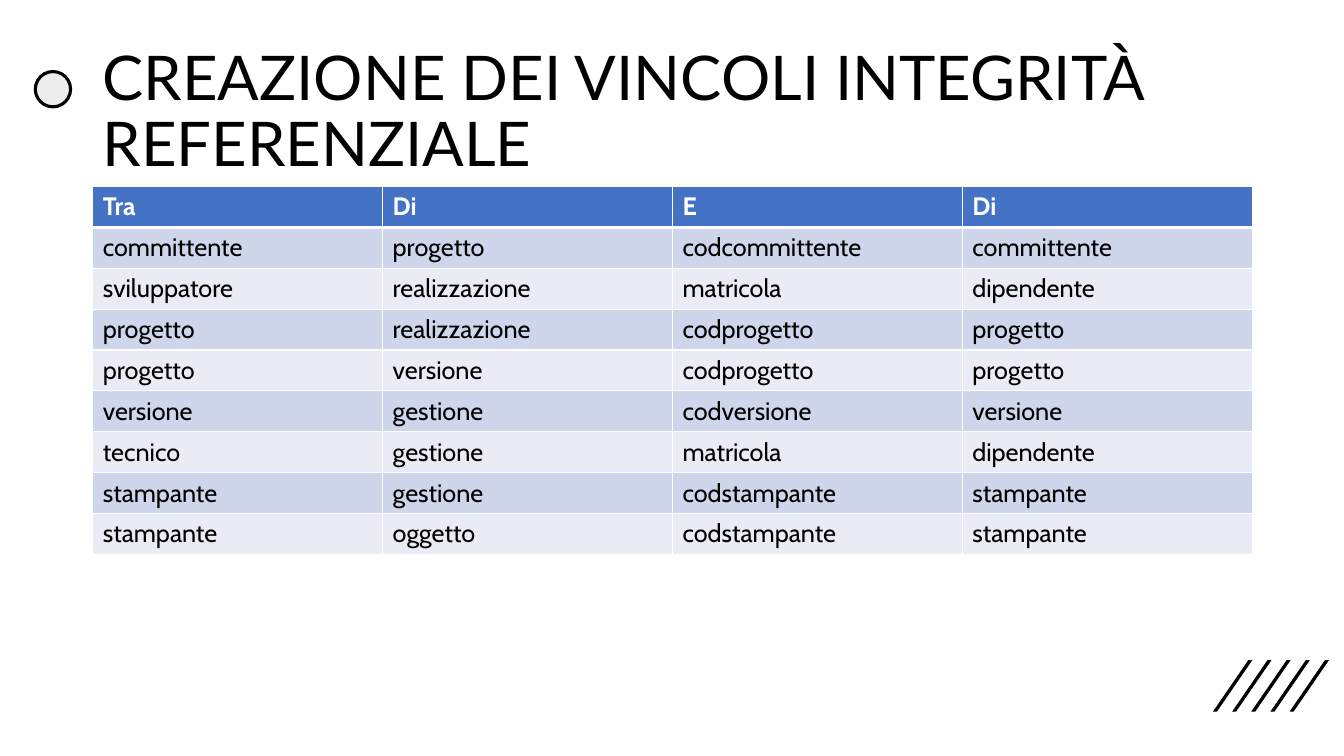
from dataclasses import dataclass

from lxml import etree
from pptx import Presentation
from pptx.dml.color import RGBColor
from pptx.enum.shapes import MSO_SHAPE
from pptx.enum.text import MSO_ANCHOR
from pptx.oxml.ns import qn
from pptx.util import Inches, Pt

OVAL = MSO_SHAPE.OVAL
MIDDLE = MSO_ANCHOR.MIDDLE


@dataclass(frozen=True)
class Theme:
    title_font: str = "Lato"
    table_font: str = "Cabin"
    title_size: int = 44
    table_size: int = 18
    ink: str = "000000"
    paper: str = "FFFFFF"
    dot: str = "EDEDED"
    header: str = "4472C4"
    bands: tuple[str, str] = ("CFD5EA", "E9EBF5")


@dataclass(frozen=True)
class Stripe:
    left: float
    top: float = 6.55
    height: float = 0.51
    slant: float = 0.35
    thickness: float = 0.04


@dataclass(frozen=True)
class Row:
    texts: tuple[str, str, str, str]
    fill: str
    color: str
    bold: bool = False
    rule: float = 1


THEME = Theme()
LEFT, WIDTH = 0.92, 11.5
TITLE = "CREAZIONE DEI VINCOLI INTEGRITÀ REFERENZIALE"
HEADINGS = ("Tra", "Di", "E", "Di")
CONSTRAINTS = (
    ("committente", "progetto", "codcommittente", "committente"),
    ("sviluppatore", "realizzazione", "matricola", "dipendente"),
    ("progetto", "realizzazione", "codprogetto", "progetto"),
    ("progetto", "versione", "codprogetto", "progetto"),
    ("versione", "gestione", "codversione", "versione"),
    ("tecnico", "gestione", "matricola", "dipendente"),
    ("stampante", "gestione", "codstampante", "stampante"),
    ("stampante", "oggetto", "codstampante", "stampante"),
)
STRIPES = [Stripe(12.03 + 0.19 * i) for i in range(5)]
ROWS = [Row(HEADINGS, THEME.header, THEME.paper, bold=True, rule=3)] + [
    Row(texts, THEME.bands[i % 2], THEME.ink)
    for i, texts in enumerate(CONSTRAINTS)
]


def rgb(color: str) -> RGBColor:
    return RGBColor.from_string(color)


def style_font(p, name: str, size: int, color: str, bold: bool = False) -> None:
    p.font.name = name
    p.font.size = Pt(size)
    p.font.bold = bold
    p.font.color.rgb = rgb(color)


def draw_stripe(s, stripe: Stripe) -> None:
    x, bottom = stripe.left, stripe.top + stripe.height
    upper = x + stripe.slant
    builder = s.shapes.build_freeform(
        Inches(x + stripe.thickness), Inches(bottom))
    corners = ((x, bottom), (upper, stripe.top),
               (upper + stripe.thickness, stripe.top))
    builder.add_line_segments([(Inches(a), Inches(b)) for a, b in corners])
    sp = builder.convert_to_shape()
    sp.shadow.inherit = False
    sp.fill.solid()
    sp.fill.fore_color.rgb = rgb(THEME.ink)
    sp.line.fill.background()


def draw_dot(s) -> None:
    sp = s.shapes.add_shape(
        OVAL, Inches(0.35), Inches(0.71), Inches(0.35), Inches(0.35))
    sp.shadow.inherit = False
    sp.fill.solid()
    sp.fill.fore_color.rgb = rgb(THEME.dot)
    sp.line.color.rgb = rgb(THEME.ink)
    sp.line.width = Pt(2.25)


def draw_title(s) -> None:
    sp = s.shapes.add_textbox(
        Inches(LEFT), Inches(0.4), Inches(WIDTH), Inches(1.45))
    tf = sp.text_frame
    tf.word_wrap = True
    tf.vertical_anchor = MIDDLE
    p = tf.paragraphs[0]
    p.text = TITLE
    p.line_spacing = 0.9
    style_font(p, THEME.title_font, THEME.title_size, THEME.ink)


def add_border(cell, side: str, width: float) -> None:
    props = cell._tc.get_or_add_tcPr()
    line = etree.SubElement(props, qn(f"a:ln{side}"), w=str(Pt(width)))
    fill = etree.SubElement(line, qn("a:solidFill"))
    etree.SubElement(fill, qn("a:srgbClr"), val=THEME.paper)


def draw_table(s, rows: list[Row]) -> None:
    table = s.shapes.add_table(
        len(rows), len(HEADINGS), Inches(LEFT), Inches(1.85),
        Inches(WIDTH), Inches(3.65)).table
    above = 1
    for i, row in enumerate(rows):
        for j, text in enumerate(row.texts):
            cell = table.cell(i, j)
            # Borders come before the fill in the cell properties
            for side, width in (("L", 1), ("R", 1), ("T", above), ("B", row.rule)):
                add_border(cell, side, width)
            cell.fill.solid()
            cell.fill.fore_color.rgb = rgb(row.fill)
            p = cell.text_frame.paragraphs[0]
            p.text = text
            style_font(p, THEME.table_font, THEME.table_size, row.color, row.bold)
        above = row.rule


def main() -> None:
    prs = Presentation()
    prs.slide_width, prs.slide_height = Inches(13.33), Inches(7.5)
    s = prs.slides.add_slide(prs.slide_layouts[6])

    # Decoration
    for stripe in STRIPES:
        draw_stripe(s, stripe)
    draw_dot(s)

    # Content
    draw_title(s)
    draw_table(s, ROWS)
    prs.save("out.pptx")


if __name__ == "__main__":
    main()
